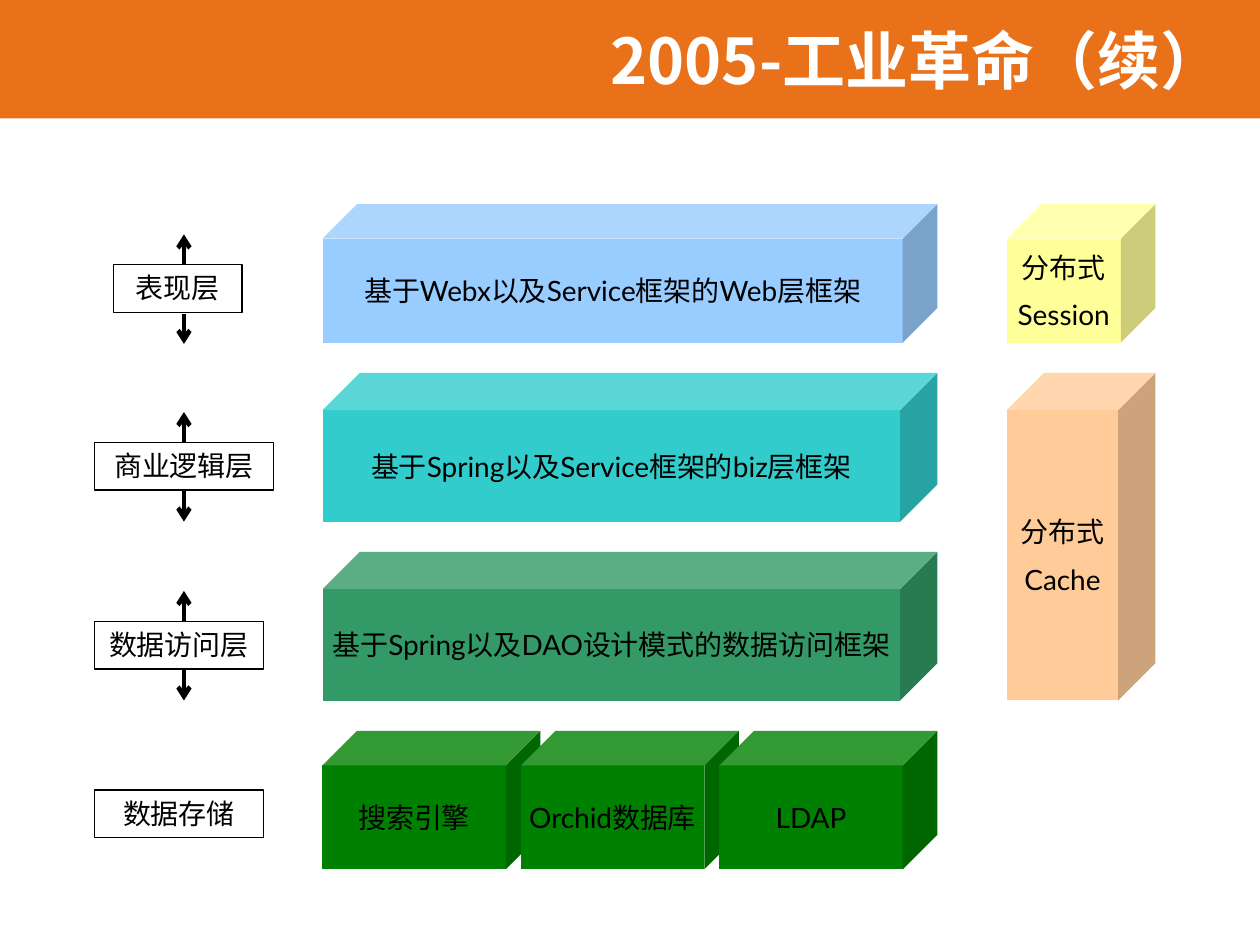
from dataclasses import dataclass

from lxml.etree import SubElement
from pptx import Presentation
from pptx.dml.color import RGBColor
from pptx.enum.shapes import MSO_CONNECTOR, MSO_SHAPE
from pptx.enum.text import MSO_ANCHOR, MSO_AUTO_SIZE, PP_ALIGN
from pptx.oxml.ns import qn
from pptx.shapes.autoshape import Shape
from pptx.slide import Slide
from pptx.text.text import TextFrame
from pptx.util import Inches, Pt

ORANGE = RGBColor(0xE8, 0x71, 0x19)
WHITE = RGBColor(0xFF, 0xFF, 0xFF)
BLACK = RGBColor(0x00, 0x00, 0x00)
GREEN = RGBColor(0x00, 0x80, 0x00)
SEA_GREEN = RGBColor(0x33, 0x99, 0x66)
TURQUOISE = RGBColor(0x33, 0xCC, 0xCC)
SKY_BLUE = RGBColor(0x99, 0xCC, 0xFF)
PEACH = RGBColor(0xFF, 0xCC, 0x99)
YELLOW = RGBColor(0xFF, 0xFF, 0x99)

HEADER_HEIGHT = 0.94
WEB_TOP, LOGIC_TOP, DATA_TOP, STORE_TOP = 1.62, 2.96, 4.38, 5.8
SHORT, TALL = 1.1, 1.18
LAYER_LEFT, LAYER_WIDTH = 2.56, 4.88
SIDE_LEFT, SIDE_WIDTH = 7.99, 1.18
STORE_WIDTH = 1.73
STORES = ("搜索引擎", "Orchid数据库", "LDAP")
STORE_STEP = (LAYER_WIDTH - STORE_WIDTH) / (len(STORES) - 1)
LABEL_HEIGHT = 0.38
ARROW_X, ARROW_LENGTH = 1.46, 0.24
JOIN_TOLERANCE = 0.02
TOP_SIDE, BOTTOM_SIDE = 0, 2


@dataclass(frozen=True)
class Cube:
    text: str
    left: float
    top: float
    width: float
    height: float
    color: RGBColor


@dataclass(frozen=True)
class Label:
    text: str
    left: float
    top: float
    width: float
    has_arrows: bool = True


CUBES = [
    *(Cube(store, LAYER_LEFT + index * STORE_STEP, STORE_TOP, STORE_WIDTH, SHORT, GREEN)
      for index, store in enumerate(STORES)),
    Cube("基于Spring以及Service框架的biz层框架",
         LAYER_LEFT, LOGIC_TOP, LAYER_WIDTH, TALL, TURQUOISE),
    Cube("基于Webx以及Service框架的Web层框架",
         LAYER_LEFT, WEB_TOP, LAYER_WIDTH, SHORT, SKY_BLUE),
    Cube("分布式\nCache", SIDE_LEFT, LOGIC_TOP, SIDE_WIDTH,
         DATA_TOP + TALL - LOGIC_TOP, PEACH),
    Cube("分布式\nSession", SIDE_LEFT, WEB_TOP, SIDE_WIDTH, SHORT, YELLOW),
    Cube("基于Spring以及DAO设计模式的数据访问框架",
         LAYER_LEFT, DATA_TOP, LAYER_WIDTH, TALL, SEA_GREEN),
]

LABELS = [
    Label("表现层", 0.9, 2.1, 1.02),
    Label("商业逻辑层", 0.75, 3.51, 1.42),
    Label("数据访问层", 0.75, 4.93, 1.34),
    Label("数据存储", 0.75, 6.27, 1.34, has_arrows=False),
]


def write_text(frame: TextFrame, text: str, *, font: str, size: float = 16,
               color: RGBColor = BLACK, bold: bool = False,
               align: PP_ALIGN = PP_ALIGN.CENTER, space_before: float = 8,
               anchor: MSO_ANCHOR = MSO_ANCHOR.MIDDLE, wrap: bool = True) -> None:
    frame.word_wrap = wrap
    frame.vertical_anchor = anchor
    for index, line in enumerate(text.split("\n")):
        para = frame.add_paragraph() if index else frame.paragraphs[0]
        para.alignment = align
        para.space_before = Pt(space_before)
        span = para.add_run()
        span.text = line
        span.font.name = font
        span.font.size = Pt(size)
        span.font.bold = bold
        span.font.color.rgb = color


def add_box(slide: Slide, preset: MSO_SHAPE, left: float, top: float,
            width: float, height: float) -> Shape:
    box = slide.shapes.add_shape(
        preset, Inches(left), Inches(top), Inches(width), Inches(height))
    box.shadow.inherit = False
    box.line.fill.background()
    return box


def fill_box(box: Shape, color: RGBColor) -> None:
    box.fill.solid()
    box.fill.fore_color.rgb = color


def draw_header(slide: Slide, text: str) -> None:
    band = add_box(slide, MSO_SHAPE.RECTANGLE, 0, 0, 10, HEADER_HEIGHT)
    fill_box(band, ORANGE)
    title = slide.shapes.title
    title.element.addprevious(band.element)
    title.left, title.top = Inches(3.36), Inches(0)
    title.width, title.height = Inches(6.45), Inches(HEADER_HEIGHT)
    write_text(title.text_frame, text, font="Noto Sans CJK SC", size=36, color=WHITE,
               bold=True, align=PP_ALIGN.RIGHT, space_before=0)


def draw_cube(slide: Slide, cube: Cube) -> None:
    box = add_box(slide, MSO_SHAPE.CUBE, cube.left, cube.top, cube.width, cube.height)
    box.adjustments[0] = 0.25
    fill_box(box, cube.color)
    write_text(box.text_frame, cube.text, font="Lato", wrap=False)


def draw_arrow(slide: Slide, label: Label, box: Shape, side: int) -> None:
    if side == TOP_SIDE:
        start, end = label.top, label.top - ARROW_LENGTH
    else:
        start = label.top + LABEL_HEIGHT + 0.01
        end = start + ARROW_LENGTH
    arrow = slide.shapes.add_connector(
        MSO_CONNECTOR.STRAIGHT, Inches(ARROW_X), Inches(start), Inches(ARROW_X), Inches(end))
    arrow.line.color.rgb = BLACK
    arrow.line.width = Pt(2.5)
    SubElement(arrow.line._get_or_add_ln(), qn("a:tailEnd"), type="arrow")
    SubElement(arrow.element.spPr, qn("a:effectLst"))
    if abs(label.left + label.width / 2 - ARROW_X) < JOIN_TOLERANCE:
        arrow.begin_connect(box, side)


def draw_label(slide: Slide, label: Label) -> None:
    box = add_box(slide, MSO_SHAPE.RECTANGLE, label.left, label.top, label.width, LABEL_HEIGHT)
    box.fill.background()
    box.line.color.rgb = BLACK
    box.line.width = Pt(0.75)
    write_text(box.text_frame, label.text, font="Times New Roman", anchor=MSO_ANCHOR.TOP)
    box.text_frame.auto_size = MSO_AUTO_SIZE.SHAPE_TO_FIT_TEXT
    if label.has_arrows:
        for side in (BOTTOM_SIDE, TOP_SIDE):
            draw_arrow(slide, label, box, side)


def main() -> None:
    deck = Presentation()
    deck.slide_width, deck.slide_height = Inches(10), Inches(7.5)
    page = deck.slides.add_slide(deck.slide_layouts.get_by_name("Title Only"))
    draw_header(page, "2005-工业革命（续）")
    for cube in CUBES:
        draw_cube(page, cube)
    for label in LABELS:
        draw_label(page, label)
    deck.save("out.pptx")


if __name__ == "__main__":
    main()
